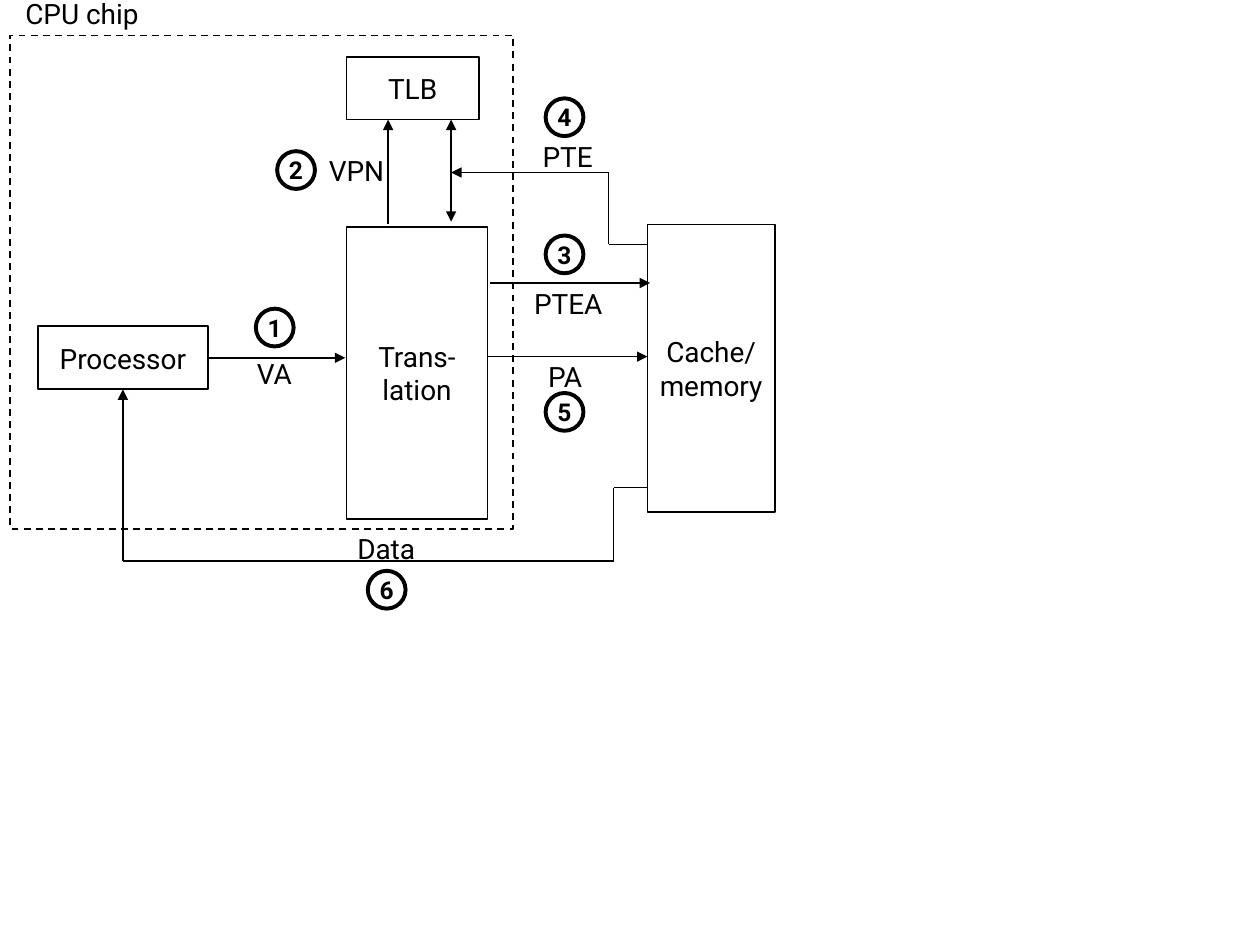
from itertools import pairwise

from lxml.etree import SubElement
from pptx import Presentation
from pptx.dml.color import RGBColor
from pptx.enum.dml import MSO_LINE
from pptx.enum.shapes import MSO_CONNECTOR, MSO_SHAPE
from pptx.enum.text import MSO_ANCHOR, MSO_AUTO_SIZE, PP_ALIGN
from pptx.oxml.ns import qn
from pptx.util import Pt

INK = "000000"
FONT = "Roboto"
BADGE_SIZE = 21.6
BOTTOM, RIGHT = 2, 3


def color(hex_string):
    return RGBColor.from_string(hex_string)


def write(frame, text, size=16, bold=False, align=PP_ALIGN.CENTER):
    frame.text = text
    frame.word_wrap = False
    frame.vertical_anchor = MSO_ANCHOR.MIDDLE
    for paragraph in frame.paragraphs:
        paragraph.alignment = align
        for run in paragraph.runs:
            run.font.name = FONT
            run.font.size = Pt(size)
            run.font.bold = bold
            run.font.color.rgb = color(INK)


def add_outline(shapes, preset, left, top, width, height, weight=1):
    outline = shapes.add_shape(preset, Pt(left), Pt(top), Pt(width), Pt(height))
    outline.shadow.inherit = False
    outline.fill.background()
    outline.line.color.rgb = color(INK)
    outline.line.width = Pt(weight)
    return outline


def add_unit(shapes, text, left, top, width, height):
    """Draw one hardware unit as a labelled rectangle."""
    unit = add_outline(shapes, MSO_SHAPE.RECTANGLE, left, top, width, height)
    write(unit.text_frame, text)
    return unit


def add_badge(shapes, step, left, top):
    badge = add_outline(shapes, MSO_SHAPE.OVAL, left, top, BADGE_SIZE, BADGE_SIZE, 2.25)
    write(badge.text_frame, str(step), size=14, bold=True)


def add_label(shapes, text, left, top, width, compact=False):
    """Add a signal name; compact labels are left-aligned with tight margins."""
    height = 20.2 if compact else 26.6
    label = shapes.add_textbox(Pt(left), Pt(top), Pt(width), Pt(height))
    frame = label.text_frame
    write(frame, text, align=PP_ALIGN.LEFT if compact else PP_ALIGN.CENTER)
    frame.auto_size = MSO_AUTO_SIZE.SHAPE_TO_FIT_TEXT
    if compact:
        frame.vertical_anchor = MSO_ANCHOR.TOP
        frame.margin_left = frame.margin_right = Pt(5)
        frame.margin_top = frame.margin_bottom = Pt(2.2)
        frame.paragraphs[0].line_spacing = 0.85


def add_route(shapes, *points, both_ends=False):
    """Join the points with straight lines, ending in an arrow; return the lines."""
    lines = []
    for start, end in pairwise(points):
        line = shapes.add_connector(
            MSO_CONNECTOR.STRAIGHT, *(Pt(value) for value in (*start, *end)))
        line.line.color.rgb = color(INK)
        line.line.width = Pt(1)
        SubElement(line._element.spPr, qn("a:effectLst"))
        lines.append(line)
    stroke = lines[-1].line._get_or_add_ln()
    if both_ends:
        SubElement(stroke, qn("a:headEnd"), type="triangle")
    SubElement(stroke, qn("a:tailEnd"), type="triangle")
    return lines


def draw_cpu_chip(shapes, left, top, width, height):
    """Draw the chip with its units and inner signals; return the processor."""
    border = add_outline(shapes, MSO_SHAPE.RECTANGLE, left, top, width, height)
    border.line.dash_style = MSO_LINE.DASH
    add_label(shapes, "CPU chip", left, top - 26, 82)

    processor = add_unit(shapes, "Processor", left + 15.8, top + 166.3, 97.2, 36)
    add_unit(shapes, "Trans-\nlation", left + 192.2, top + 109.4, 80.6, 167)
    add_unit(shapes, "TLB", left + 192.2, top + 12.2, 75.6, 36)

    va_y = top + 184.3
    va_line, = add_route(shapes, (left + 113, va_y), (left + 191.5, va_y))
    va_line.begin_connect(processor, RIGHT)
    add_label(shapes, "VA", left + 136, va_y, 31, compact=True)
    add_badge(shapes, 1, left + 140.4, top + 156.2)

    tlb_bottom = top + 48.2
    add_route(shapes, (left + 216, top + 108), (left + 216, tlb_bottom))
    add_route(shapes, (left + 252, top + 106.5), (left + 252, tlb_bottom), both_ends=True)
    add_label(shapes, "VPN", left + 174.2, top + 64, 47.5)
    add_badge(shapes, 2, left + 152.6, top + 66.2)
    return processor


def draw_memory(shapes, left, top, width, height, processor):
    """Draw the memory and the signals between it and the chip."""
    add_unit(shapes, "Cache/\nmemory", left, top, width, height)
    badge_left = left - 58.2

    add_route(shapes, (left - 90, top + 33.5), (left + 1.5, top + 33.5))
    add_label(shapes, "PTEA", left - 69.8, top + 36, 51.8, compact=True)
    add_badge(shapes, 3, badge_left, top + 6.4)

    pte_x, pte_y = left - 22.2, top - 29.6
    add_route(shapes, (left, top + 11.5), (pte_x, top + 11.5),
              (pte_x, pte_y), (left - 112.2, pte_y))
    add_label(shapes, "PTE", left - 68.3, top - 51.9, 45.4)
    add_badge(shapes, 4, badge_left, top - 72)

    add_route(shapes, (left - 91.4, top + 75.6), (left, top + 75.6))
    add_label(shapes, "PA", left - 61.8, top + 77.7, 31, compact=True)
    add_badge(shapes, 5, badge_left, top + 96.4)

    data_x, data_y = left - 19.4, top + 192.2
    processor_x = (processor.left + processor.width / 2) / Pt(1)
    processor_bottom = (processor.top + processor.height) / Pt(1)
    data_lines = add_route(
        shapes, (left, top + 150.4), (data_x, top + 150.4), (data_x, data_y),
        (processor_x, data_y), (processor_x, processor_bottom))
    data_lines[-1].end_connect(processor, BOTTOM)
    add_label(shapes, "Data", left - 173.4, top + 172, 48.2)
    add_badge(shapes, 6, left - 159.8, top + 198)


def main():
    presentation = Presentation()
    presentation.slide_width, presentation.slide_height = Pt(720), Pt(540)
    slide = presentation.slides.add_slide(presentation.slide_layouts[6])
    processor = draw_cpu_chip(slide.shapes, 5.8, 20.2, 287.3, 282.2)
    draw_memory(slide.shapes, 370, 128.2, 72.7, 164.2, processor)
    presentation.save("out.pptx")


if __name__ == "__main__":
    main()
